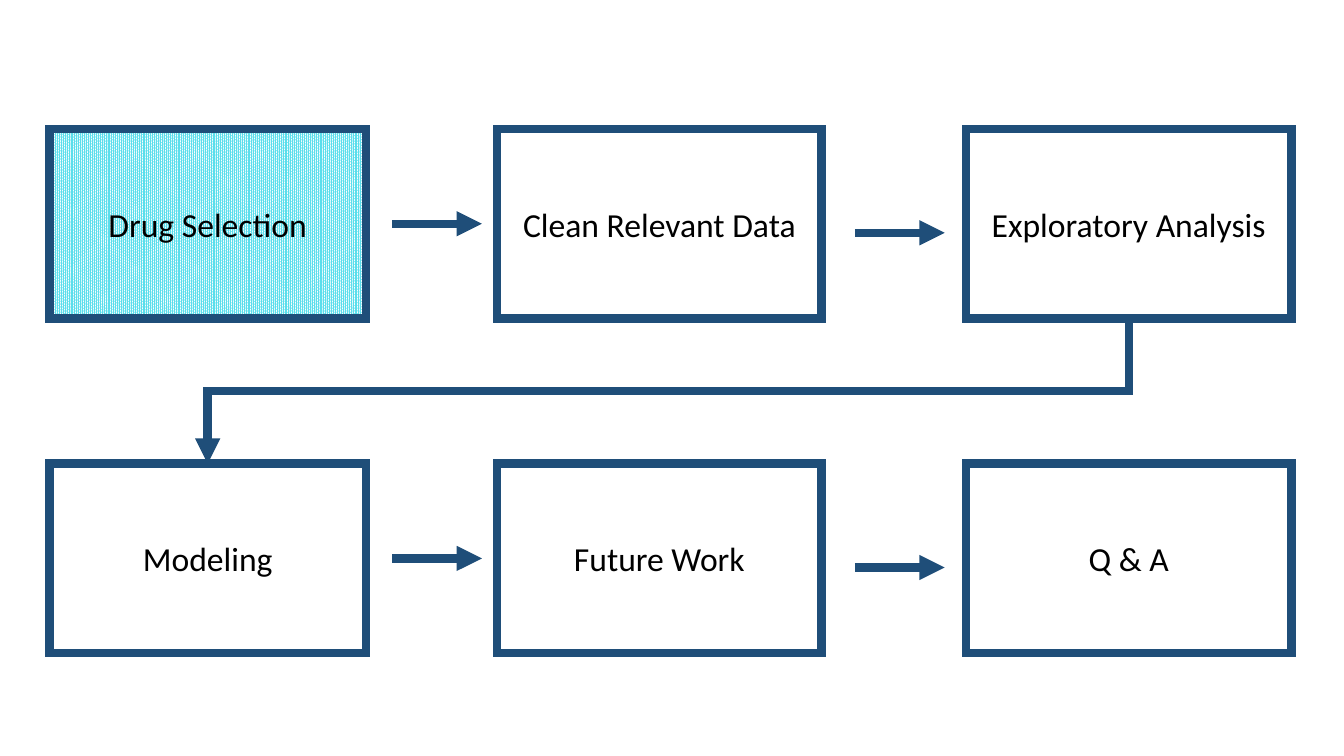
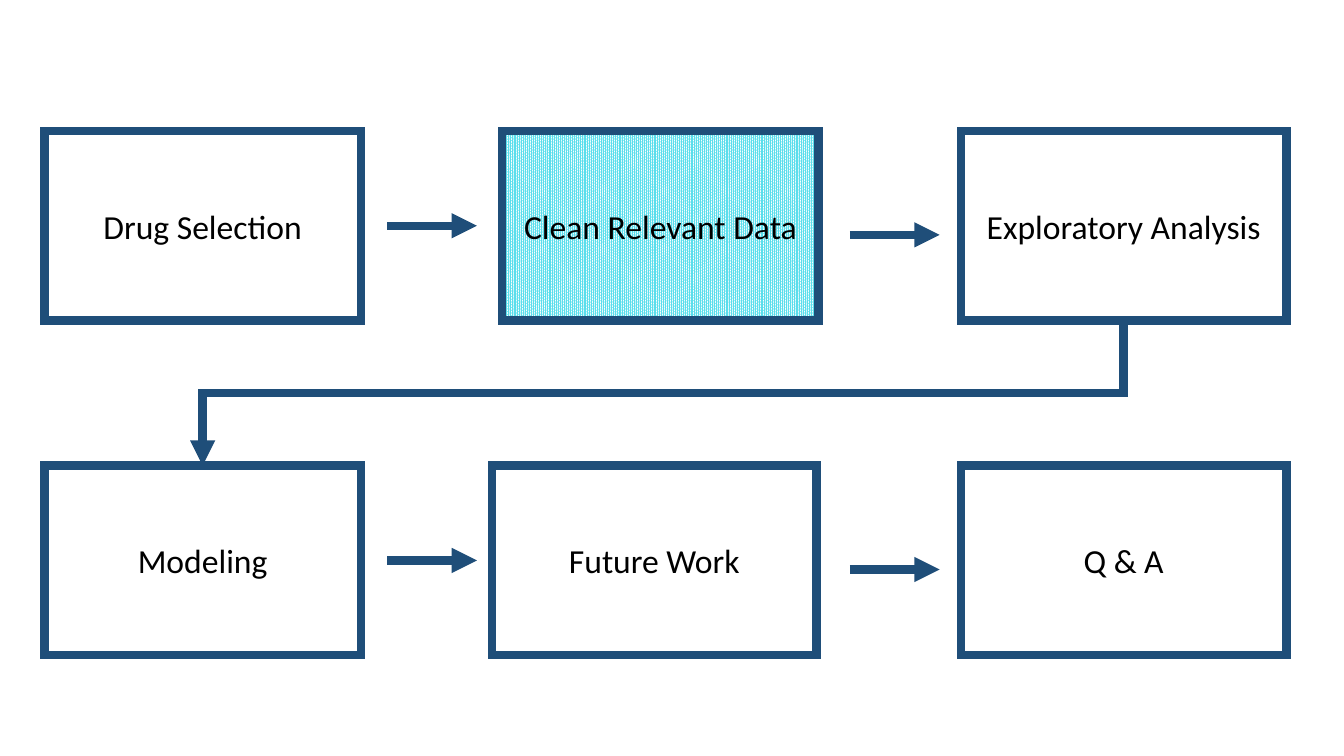
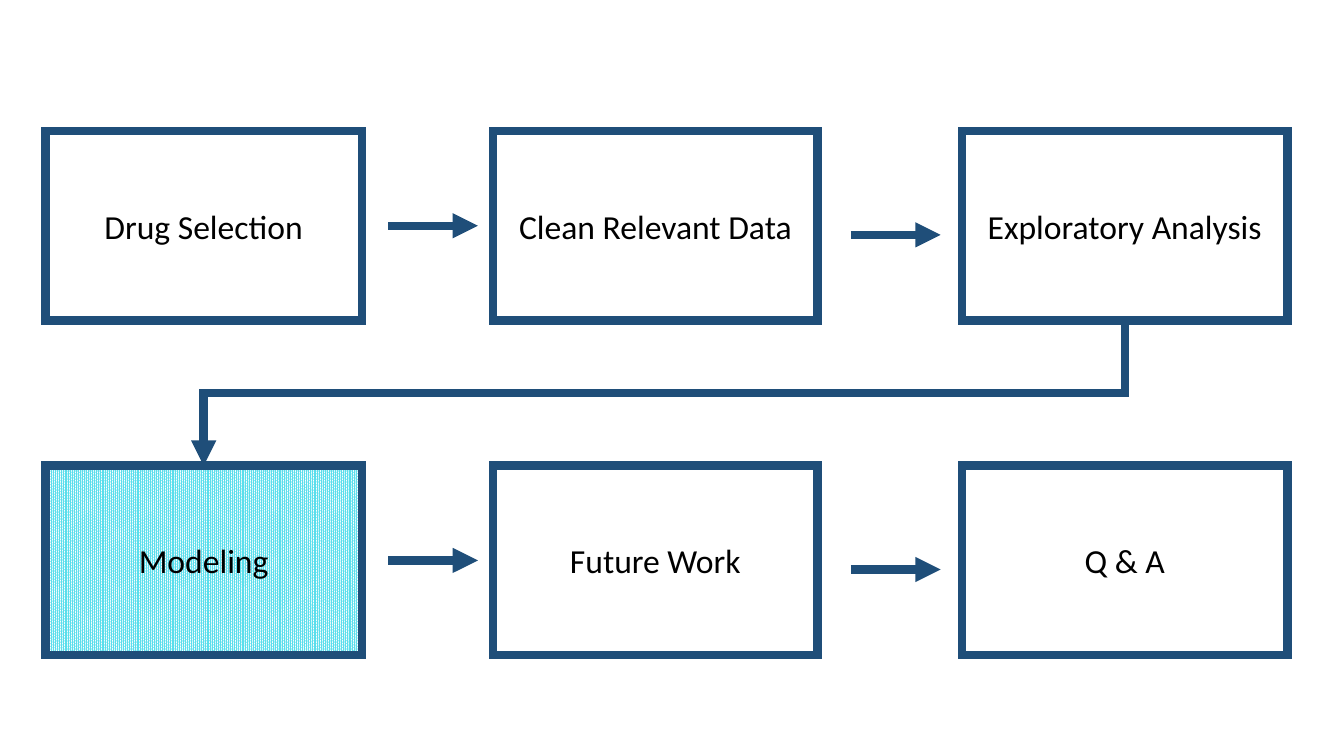
from pptx import Presentation
from pptx.dml.color import RGBColor
from pptx.enum.dml import MSO_PATTERN
from pptx.enum.shapes import MSO_CONNECTOR, MSO_SHAPE
from pptx.enum.text import MSO_ANCHOR, PP_ALIGN
from pptx.oxml.ns import qn
from pptx.util import Inches, Pt
from lxml.etree import SubElement

NAVY = RGBColor(0x1F, 0x4E, 0x79)
CYAN = RGBColor(0x5A, 0xDE, 0xEC)
WHITE = RGBColor(0xFF, 0xFF, 0xFF)
BLACK = RGBColor(0, 0, 0)
FONT = "Calibri"

STEPS = [
    ["Drug Selection", "Clean Relevant Data", "Exploratory Analysis"],
    ["Modeling", "Future Work", "Q & A"],
]
COLS = [(0, 3.14), (4.44, 3.22), (9.09, 3.23)]
ARROWS = [(3.4, 0.94), (7.99, 1.03)]
HIGH = 1.88
PITCH = 3.32
LENGTH = 0.89
ACTIVE = {0: (0, 3.14), 1: (4.54, 3.14)}


def stroke(shape):
    """Give a shape the thick navy line with sharp corners, and return it."""
    shape.line.color.rgb = NAVY
    shape.line.width = Pt(6)
    line = shape.element.spPr.find(qn("a:ln"))
    SubElement(line, qn("a:miter"), lim="800000")
    return line


def add_step(slide, left, top, width, label, active):
    """Draw one step of the flow, patterned when it is the active one."""
    box = slide.shapes.add_shape(
        MSO_SHAPE.RECTANGLE, Inches(left), Inches(top), Inches(width), Inches(HIGH))
    box.shadow.inherit = False
    if active:
        box.fill.patterned()
        box.fill.pattern = MSO_PATTERN.PERCENT_90
        box.fill.fore_color.rgb = CYAN
        box.fill.back_color.rgb = WHITE
    else:
        box.fill.background()
    stroke(box)
    frame = box.text_frame
    frame.word_wrap = True
    frame.vertical_anchor = MSO_ANCHOR.MIDDLE
    para = frame.paragraphs[0]
    para.alignment = PP_ALIGN.CENTER
    run = para.add_run()
    run.text = label
    run.font.name = FONT
    run.font.size = Pt(24)
    run.font.color.rgb = BLACK


def add_arrow(slide, kind, left, top, width, height=0):
    """Draw a connector with an arrowhead at its end."""
    arrow = slide.shapes.add_connector(
        kind, Inches(left), Inches(top), Inches(left + width), Inches(top + height))
    SubElement(stroke(arrow), qn("a:tailEnd"), type="triangle")
    SubElement(arrow.element.spPr, qn("a:effectLst"))
    return arrow


def add_return(slide, left, top):
    """Lead from the end of the first row to the start of the second."""
    start = left + COLS[2][0] + COLS[2][1] / 2
    end = left + COLS[0][1] / 2
    drop, span = PITCH - HIGH, start - end
    mid_x, mid_y = (start + end) / 2, top + (HIGH + PITCH) / 2
    elbow = add_arrow(slide, MSO_CONNECTOR.ELBOW,
                      mid_x - drop / 2, mid_y - span / 2, drop, span)
    elbow.element.spPr.find(qn("a:xfrm")).set("rot", "5400000")


def add_flow(deck, left, top, active):
    """Add a slide with the six-step flow and one active step."""
    slide = deck.slides.add_slide(deck.slide_layouts[6])
    for row, labels in enumerate(STEPS):
        y = top + row * PITCH
        for col, label in enumerate(labels):
            chosen = label == active
            x, width = ACTIVE.get(col, COLS[col]) if chosen else COLS[col]
            add_step(slide, left + x, y, width, label, chosen)
        for x, down in ARROWS:
            add_arrow(slide, MSO_CONNECTOR.STRAIGHT, left + x, y + down, LENGTH)
    add_return(slide, left, top)


def main():
    """Build the deck."""
    deck = Presentation()
    deck.slide_width, deck.slide_height = Inches(13.33), Inches(7.5)
    add_flow(deck, 0.49, 1.28, "Drug Selection")
    add_flow(deck, 0.44, 1.3, "Clean Relevant Data")
    add_flow(deck, 0.45, 1.3, "Modeling")
    deck.save("out.pptx")


if __name__ == "__main__":
    main()
